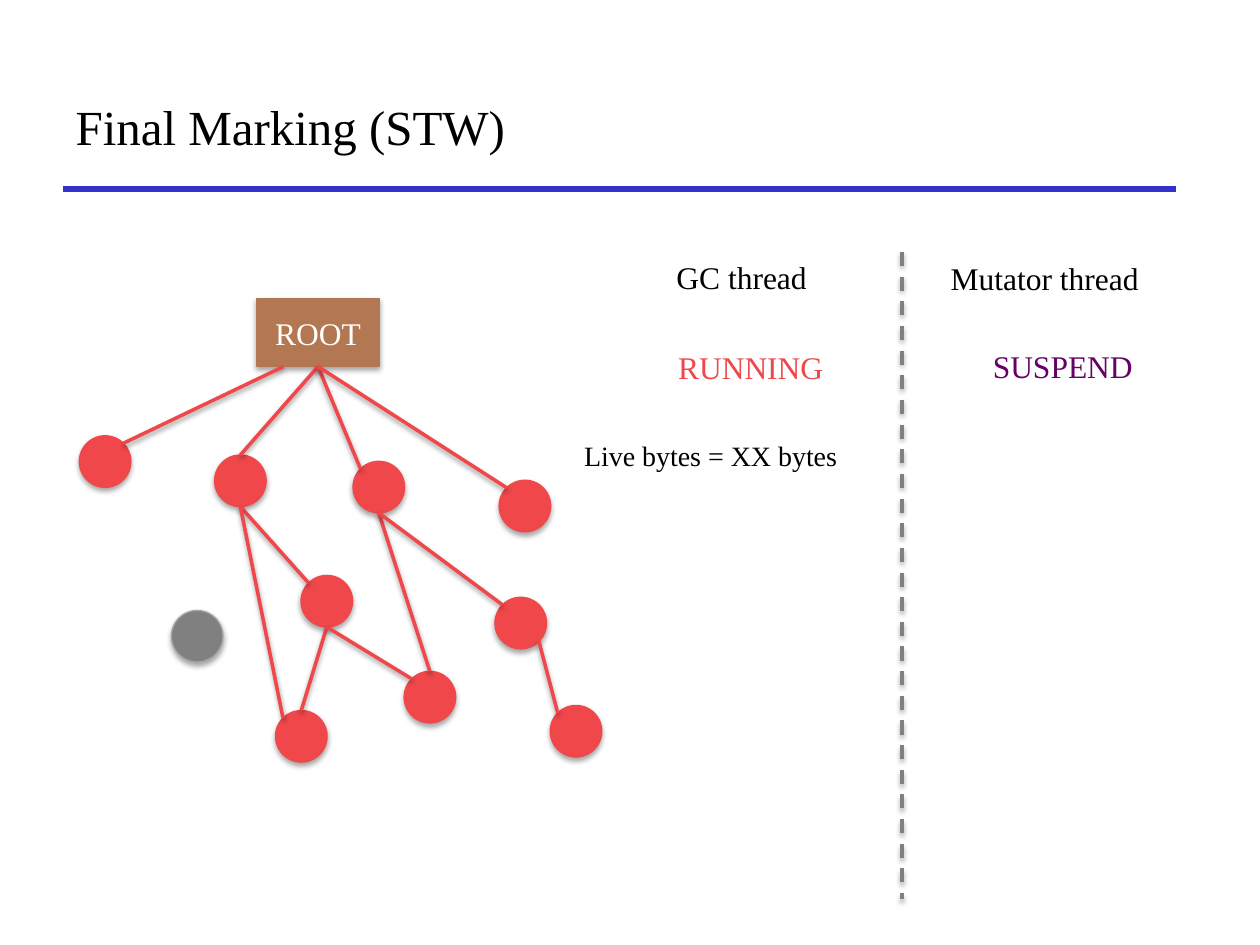
import math

import pptx
import pptx.dml.color
import pptx.enum.dml
import pptx.enum.shapes
import pptx.enum.text
import pptx.oxml
import pptx.util
from pptx.oxml.ns import nsdecls

Pt = pptx.util.Pt
SHAPES = pptx.enum.shapes.MSO_SHAPE
RED, BROWN, GRAY, BLACK = "F0474B", "B37851", "808080", "000000"
NODE_SIZE = 29.5


def color(value):
    return pptx.dml.color.RGBColor.from_string(value)


class Page:
    font = "Times New Roman"

    def __init__(self, deck):
        self.slide = deck.slides.add_slide(deck.slide_layouts[5])
        self.shapes = self.slide.shapes

    def format_text(self, frame, size, fill):
        for para in frame.paragraphs:
            for span in para.runs:
                span.font.name = self.font
                span.font.size = Pt(size)
                span.font.color.rgb = color(fill)

    def set_effect(self, item, distance=0, opacity=0):
        """Drop a soft shadow straight down, or none without a distance."""
        shadow = ""
        if distance:
            shadow = (f'<a:outerShdw blurRad="{Pt(3.1)}" dist="{Pt(distance)}" '
                      'dir="5400000" rotWithShape="0"><a:srgbClr val="000000">'
                      f'<a:alpha val="{opacity * 1000}"/></a:srgbClr></a:outerShdw>')
        item._element.spPr.append(pptx.oxml.parse_xml(
            f'<a:effectLst {nsdecls("a")}>{shadow}</a:effectLst>'))

    def title(self, text, left, top, width, height):
        box = self.shapes.title
        box.left, box.top, box.width, box.height = map(Pt, (left, top, width, height))
        box.text_frame.text = text
        box.text_frame.vertical_anchor = pptx.enum.text.MSO_ANCHOR.MIDDLE
        box.text_frame.paragraphs[0].alignment = pptx.enum.text.PP_ALIGN.LEFT
        self.format_text(box.text_frame, 28, BLACK)

    def label(self, text, left, top, width, height, size=18, fill=BLACK):
        box = self.shapes.add_textbox(Pt(left), Pt(top), Pt(width), Pt(height))
        frame = box.text_frame
        frame.text = text
        frame.word_wrap = False
        frame.auto_size = pptx.enum.text.MSO_AUTO_SIZE.SHAPE_TO_FIT_TEXT
        self.format_text(frame, size, fill)

    def shape(self, kind, left, top, width, height, fill, outline=None, text=""):
        box = self.shapes.add_shape(kind, Pt(left), Pt(top), Pt(width), Pt(height))
        box.fill.solid()
        box.fill.fore_color.rgb = color(fill)
        box.line.color.rgb = color(outline or fill)
        box.line.width = Pt(0.75)
        self.set_effect(box, 1.8, 35)
        if text:
            frame = box.text_frame
            frame.text = text
            frame.vertical_anchor = pptx.enum.text.MSO_ANCHOR.MIDDLE
            frame.paragraphs[0].alignment = pptx.enum.text.PP_ALIGN.CENTER
            self.format_text(frame, 18, "FFFFFF")
        return box

    def node(self, left, top, fill=RED, outline=None):
        return self.shape(SHAPES.OVAL, left, top, NODE_SIZE, NODE_SIZE, fill, outline)

    def line(self, start, end, fill=RED, width=2, shadow=True):
        link = self.shapes.add_connector(
            pptx.enum.shapes.MSO_CONNECTOR.STRAIGHT, *map(Pt, start + end))
        link.line.color.rgb = color(fill)
        link.line.width = Pt(width)
        if shadow:
            self.set_effect(link, 1.6, 38)
        else:
            self.set_effect(link)
        return link


def rim(node, angle):
    """Point on a node's rim, in degrees clockwise from the right."""
    radius, turn = NODE_SIZE / 2, math.radians(angle)
    return (node.left.pt + radius * (1 + math.cos(turn)),
            node.top.pt + radius * (1 + math.sin(turn)))


BOTTOM_RIGHT, BOTTOM, TOP_LEFT, TOP, TOP_RIGHT = 45, 90, 225, 270, 315


def main():
    deck = pptx.Presentation()
    deck.slide_width, deck.slide_height = Pt(720), Pt(540)
    page = Page(deck)

    # Heading and rule
    page.line((36, 108), (672, 108), "3333CC", 3, shadow=False)
    page.title("Final Marking (STW)", 36, 36, 636, 72)

    # Object graph: root, marked nodes and one unreachable node
    root = page.shape(SHAPES.RECTANGLE, 146.8, 170.4, 69.9, 39.1, BROWN, text="ROOT")
    places = {
        "far left": (45.3, 249), "left": (122.6, 260), "middle": (201.7, 263.6),
        "right": (285.2, 274.4), "left child": (172, 328.8),
        "right child": (282.8, 341.3), "shared leaf": (157.4, 406),
        "middle leaf": (230.9, 383.6), "right leaf": (314.4, 403.1),
    }
    nodes = {name: page.node(*place) for name, place in places.items()}
    page.node(97.9, 348.8, GRAY, "A6A6A6")

    # References from the root
    root_bottom = (root.left.pt + root.width.pt / 2, root.top.pt + root.height.pt)
    for name, angle in (("left", TOP), ("middle", TOP_LEFT), ("right", TOP_LEFT)):
        link = page.line(root_bottom, rim(nodes[name], angle))
        link.begin_connect(root, 2)
    page.line(rim(nodes["far left"], TOP_RIGHT), (162, root_bottom[1]))

    # References between nodes
    for source, leave, target, arrive in (
        ("left", BOTTOM, "left child", TOP_LEFT),
        ("left", BOTTOM, "shared leaf", TOP_LEFT),
        ("left child", BOTTOM, "shared leaf", TOP),
        ("left child", BOTTOM, "middle leaf", TOP_LEFT),
        ("middle", BOTTOM, "middle leaf", TOP),
        ("middle", BOTTOM, "right child", TOP_LEFT),
        ("right child", BOTTOM_RIGHT, "right leaf", TOP_LEFT),
    ):
        page.line(rim(nodes[source], leave), rim(nodes[target], arrive))

    # Thread states on both sides of a dashed divider
    divider = page.line((515.3, 144), (515.3, 514), GRAY)
    divider.line.dash_style = pptx.enum.dml.MSO_LINE.DASH
    page.label("GC thread", 379.5, 144, 93.6, 29)
    page.label("Mutator thread", 536.2, 144.6, 127.4, 29)
    page.label("RUNNING", 380.4, 195.3, 100.8, 29, fill=RED)
    page.label("SUSPEND", 560.2, 194.6, 97.2, 29, fill="660066")
    page.label("Live bytes = XX bytes", 326.7, 246.8, 159.8, 26.6, size=16)

    deck.save("out.pptx")


if __name__ == "__main__":
    main()
